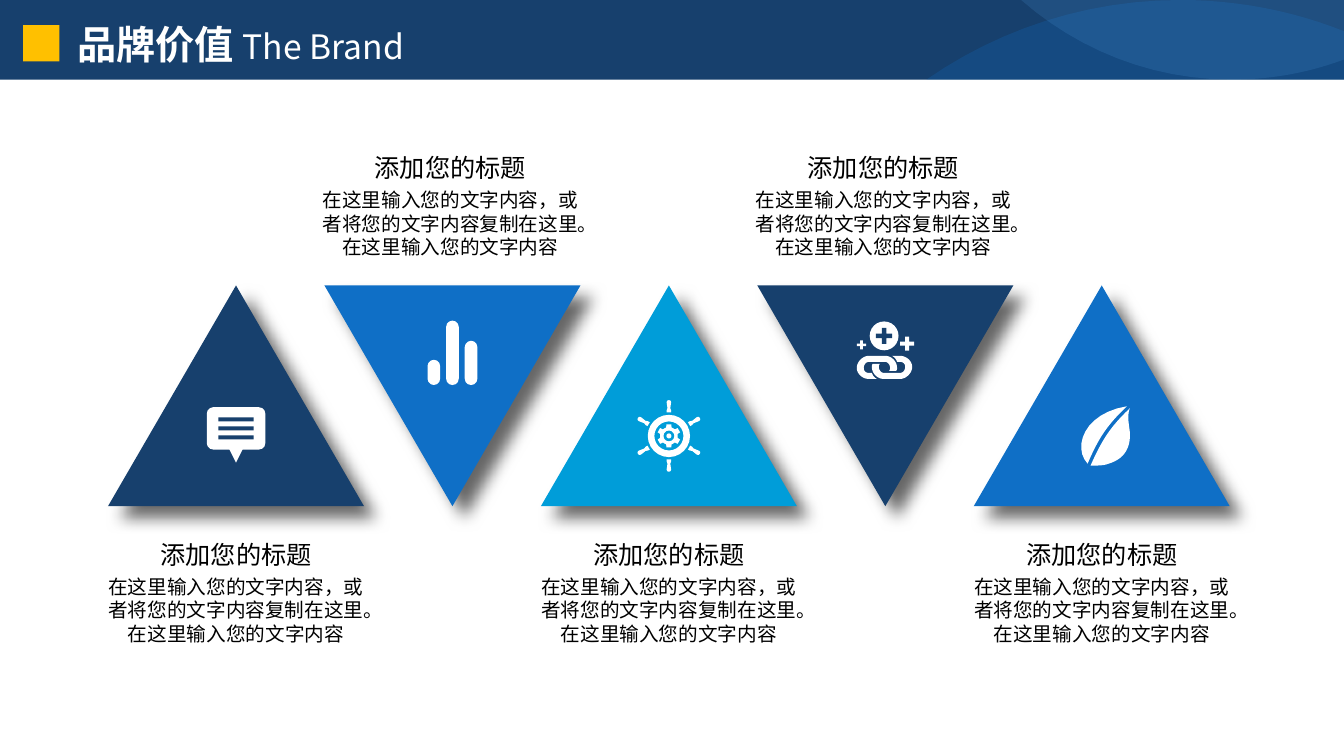
from math import cos, radians, sin
from lxml.etree import SubElement
from pptx import Presentation
from pptx.dml.color import RGBColor
from pptx.enum.shapes import MSO_SHAPE as Preset
from pptx.enum.text import PP_ALIGN as Align
from pptx.oxml.ns import qn
from pptx.util import Pt

FONT = "Noto Sans CJK SC"
NAVY, BLUE, CYAN, SKY = "17406D", "0F6FC6", "009DD9", "59AAF2"
WHITE, BLACK, GOLD = "FFFFFF", "000000", "FFC000"

HEADING = [("品牌价值 ", {"size": Pt(28), "bold": True}), ("The Brand", {"size": Pt(24), "bold": False})]
CAPTION = "添加您的标题"
DETAIL = "在这里输入您的文字内容，或者将您的文字内容复制在这里。在这里输入您的文字内容"
COLOURS = [NAVY, BLUE, CYAN, NAVY, BLUE]

FIRST_CENTRE, STEP = 168.6, 154.6
TRIANGLE_TOP, TRIANGLE_WIDTH, TRIANGLE_HEIGHT = 203.9, 182.9, 157.7
CAPTION_WIDTH = 210.2
HEADER_HEIGHT = 56.9

LOW_ARC = [(843.1, 0), (884.2, 0, 923.8, 7.9, 960, 22.3), (960, 56.9), (661.7, 56.9),
           (713.5, 20.9, 776.2, 0, 843.1, 0)]
HIGH_ARC = [(960, 0), (960, 42.5), (935.3, 51.8, 908, 56.9, 879.8, 56.9),
            (822.2, 56.9, 769.7, 35.3, 729.4, 0)]
LEAF = [
    [(-8, 128.6), (-2.9, 128.6, 1.4, 128.6, 5, 127.2), (14.4, 124.3, 20.8, 117.8, 20.1, 104.9),
     (19.4, 99.1, 18, 92.6, 20.1, 87.6), (5.7, 101.3, 0, 110.6, -8, 128.6)],
    [(-10.1, 127.2), (-20.9, 115.7, -13, 91.2, 18, 86.2), (4.3, 99.1, -2.2, 108.5, -10.1, 127.2)],
]
CHAIN_LINK = [
    (10.6, 50.2), (4.8, 50.2), (6.2, 50.9, 7.7, 52.3, 8.4, 54.5), (10.6, 54.5),
    (12.7, 54.5, 14.2, 55.9, 14.2, 58.1), (14.2, 60.2, 12.7, 62.4, 10.6, 62.4), (-1, 62.4),
    (-3.1, 62.4, -4.6, 60.2, -4.6, 58.1), (-4.6, 57.4, -4.6, 56.6, -3.8, 55.9), (-8.9, 55.9),
    (-9.6, 56.6, -9.6, 57.4, -9.6, 58.1), (-9.6, 62.4, -6, 66.7, -1, 66.7), (10.6, 66.7),
    (14.9, 66.7, 19.2, 62.4, 19.2, 58.1), (19.2, 53.8, 14.9, 50.2, 10.6, 50.2),
]
CHAIN_TURN = (-1.2, 116.9)
BAR_TOPS = [257, 229, 243.4]
BAR_BOTTOM, BAR_WIDTH, BAR_STEP = 275, 9, 13.3
PLUSES = [(-0.9, 35.9, 11.5, NAVY), (15.6, 41.5, 10.1, WHITE), (-17, 42.3, 6.5, WHITE)]
GEAR_TOOTH = [(6.3, -30), (6.3, -18), (8.4, -12), (8.4, 12), (6.3, 18)]
SPOKE = [(16.7, -1.6), (18.2, -1.6), (19.8, -1), (24, -1.6), (25.2, -1.2), (25.6, 0),
         (25.2, 1.2), (24, 1.6), (19.8, 1), (18.2, 1.6), (16.7, 1.6)]
WHEEL_Y = 311.4

deck = Presentation()
deck.slide_width, deck.slide_height = Pt(960), Pt(540)
page = deck.slides.add_slide(deck.slide_layouts[6])


def colour(value):
    return RGBColor.from_string(value)


def paint(shape, fill, opacity=100):
    shape.shadow.inherit = False
    shape.fill.solid()
    shape.fill.fore_color.rgb = colour(fill)
    shape.line.fill.background()
    if opacity < 100:
        tint = shape._element.spPr.find(qn("a:solidFill"))[0]
        SubElement(tint, qn("a:alpha"), val=str(opacity * 1000))
    return shape


def preset(kind, left, top, width, height, fill, adjust=None):
    shape = page.shapes.add_shape(kind, Pt(left), Pt(top), Pt(width), Pt(height))
    if adjust is not None:
        shape.adjustments[0] = adjust
    return paint(shape, fill)


def disc(x, y, radius, fill):
    return preset(Preset.OVAL, x - radius, y - radius, 2 * radius, 2 * radius, fill)


def flatten(outline):
    points = [outline[0]]
    for part in outline[1:]:
        if len(part) == 2:
            points.append(part)
            continue
        curve = [points[-1], part[:2], part[2:4], part[4:]]
        for t in (n / 12 for n in range(1, 13)):
            weights = ((1 - t) ** 3, 3 * t * (1 - t) ** 2, 3 * t * t * (1 - t), t ** 3)
            points.append(tuple(sum(w * p[axis] for w, p in zip(weights, curve)) for axis in (0, 1)))
    return points


def freeform(outlines, fill, x=0, y=0, opacity=100):
    builder = None
    for outline in outlines:
        points = [(Pt(x + px), Pt(y + py)) for px, py in flatten(outline)]
        if builder is None:
            builder = page.shapes.build_freeform(*points[0])
        else:
            builder.move_to(*points[0])
        builder.add_line_segments(points[1:], close=True)
    return paint(builder.convert_to_shape(), fill, opacity)


def text(left, top, width, height, runs, align=Align.LEFT, ink=BLACK):
    box = page.shapes.add_textbox(Pt(left), Pt(top), Pt(width), Pt(height))
    box.text_frame.word_wrap = True
    para = box.text_frame.paragraphs[0]
    para.alignment = align
    for words, style in runs:
        span = para.add_run()
        span.text = words
        for name, value in {"name": FONT, **style}.items():
            setattr(span.font, name, value)
        span.font.color.rgb = colour(ink)
        SubElement(span.font._element, qn("a:ea"), typeface=FONT)


def triangle(centre, fill, inverted):
    shape = preset(Preset.ISOSCELES_TRIANGLE, centre - TRIANGLE_WIDTH / 2, TRIANGLE_TOP,
                   TRIANGLE_WIDTH, TRIANGLE_HEIGHT, fill)
    if inverted:
        shape._element.spPr.find(qn("a:xfrm")).set("flipV", "1")
    effects = shape._element.spPr.find(qn("a:effectLst"))
    shadow = SubElement(effects, qn("a:outerShdw"), blurRad=str(Pt(12)), dist=str(Pt(12)),
                        dir="2700000", algn="tl", rotWithShape="0")
    SubElement(SubElement(shadow, qn("a:srgbClr"), val=BLACK), qn("a:alpha"), val="60000")


def bubble_icon(x):
    tail = preset(Preset.ISOSCELES_TRIANGLE, x - 5.4, 319.7, 10.8, 10.8, WHITE)
    tail._element.spPr.find(qn("a:xfrm")).set("flipV", "1")
    preset(Preset.ROUNDED_RECTANGLE, x - 20.9, 290.9, 41.8, 30.2, WHITE, 0.15)
    for row in range(3):
        preset(Preset.RECTANGLE, x - 12.6, 298.1 + 6.48 * row, 25.2, 2.9, NAVY)


def bars_icon(x):
    for index, top in enumerate(BAR_TOPS):
        left = x - BAR_WIDTH / 2 + (index - 1) * BAR_STEP
        preset(Preset.ROUNDED_RECTANGLE, left, top, BAR_WIDTH, BAR_BOTTOM - top, WHITE, 0.5)


def wheel_icon(x):
    preset(Preset.DONUT, x - 15.1, WHEEL_Y - 15.1, 30.2, 30.2, WHITE, 0.156)
    turns = [radians(30 + 60 * n) for n in range(6)]
    gear = [(r * cos(a + radians(d)), r * sin(a + radians(d))) for a in turns for r, d in GEAR_TOOTH]
    spokes = [[(r * cos(a) - w * sin(a), r * sin(a) + w * cos(a)) for r, w in SPOKE] for a in turns]
    freeform([gear], WHITE, x, WHEEL_Y)
    disc(x, WHEEL_Y, 3.8, CYAN)
    disc(x, WHEEL_Y, 1.8, WHITE)
    freeform(spokes, WHITE, x, WHEEL_Y)


def chain_icon(x):
    turned = [tuple(CHAIN_TURN[n % 2] - value for n, value in enumerate(part)) for part in CHAIN_LINK]
    for link in (CHAIN_LINK, turned):
        freeform([link], WHITE, x, 204)
    disc(x - 0.9, 239.9, 10.3, WHITE)
    for dx, dy, size, fill in PLUSES:
        preset(Preset.CROSS, x + dx - size / 2, 204 + dy - size / 2, size, size, fill, 0.36)


def leaf_icon(x):
    freeform(LEAF, WHITE, x, 204)


preset(Preset.RECTANGLE, 0, 0, 960, HEADER_HEIGHT, NAVY)
freeform([LOW_ARC], BLUE, opacity=23)
freeform([HIGH_ARC], SKY, opacity=15)
text(48.2, 10.8, 523.4, 41, HEADING, ink=WHITE)
preset(Preset.RECTANGLE, 16.6, 18, 25.9, 25.9, GOLD)

ICONS = [bubble_icon, bars_icon, wheel_icon, chain_icon, leaf_icon]
for index, (fill, icon) in enumerate(zip(COLOURS, ICONS)):
    centre = FIRST_CENTRE + STEP * index
    inverted = index % 2 == 1
    triangle(centre, fill, inverted)
    icon(centre)
    left = centre - CAPTION_WIDTH / 2 - (1.5 if inverted else 0)
    top = 105.3 if inverted else 381.4
    text(left, top + 25.5, CAPTION_WIDTH, 58.3, [(DETAIL, {"size": Pt(14)})], Align.CENTER)
    text(left, top, CAPTION_WIDTH, 28.8, [(CAPTION, {"size": Pt(18)})], Align.CENTER)

deck.save("out.pptx")
